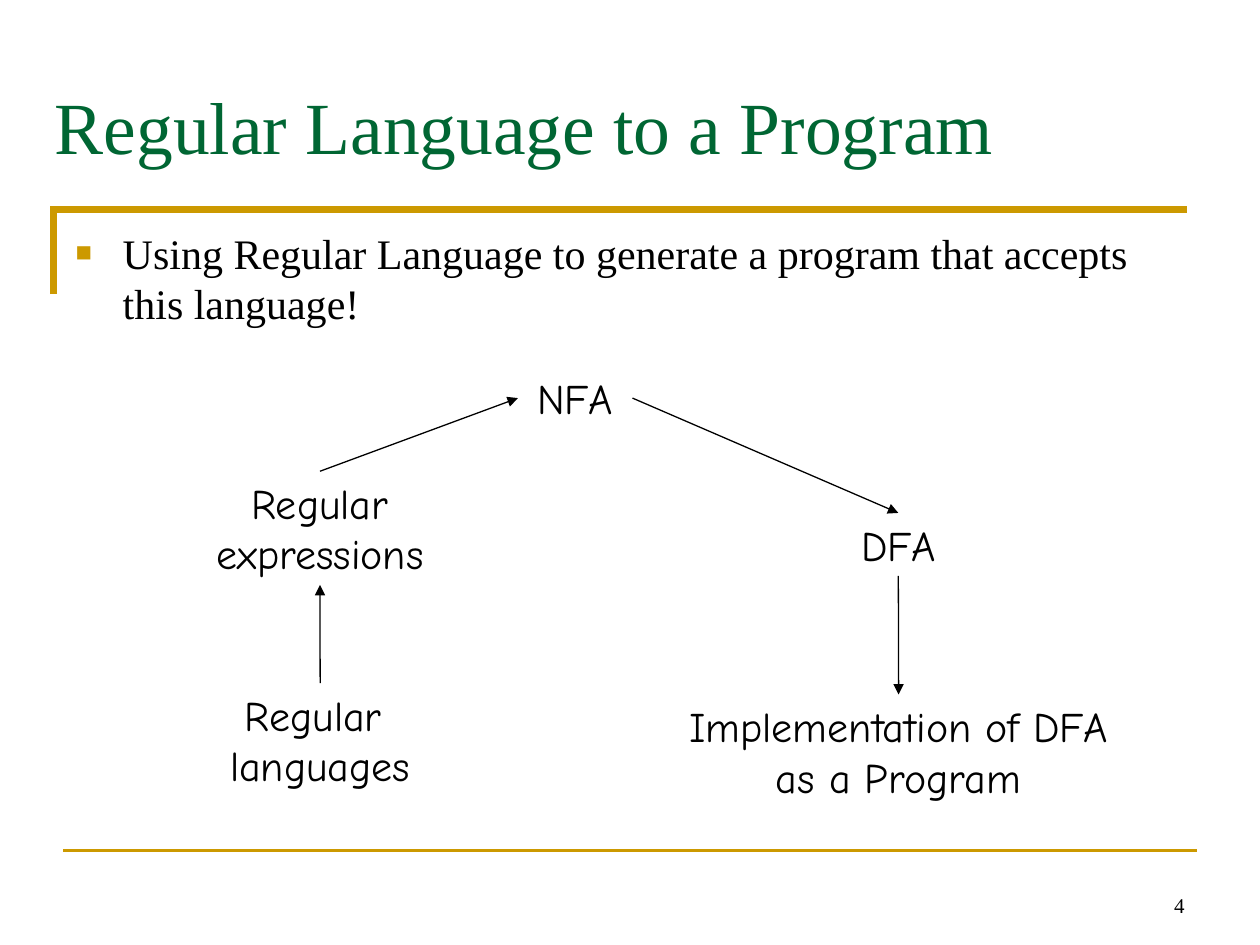
from dataclasses import dataclass

from lxml import etree
from pptx import Presentation
from pptx import util as u
from pptx.dml.color import RGBColor
from pptx.enum import shapes, text
from pptx.oxml.ns import qn

COLORS = {"title": "006633", "accent": "CC9900", "ink": "000000"}
SERIF, CASUAL = "Times New Roman", "Comic Neue"
TOP, LEFT, BOTTOM, RIGHT = range(4)


@dataclass
class Stage:
    name: str
    lines: tuple[str, ...]
    box: tuple[float, float, float, float]  # left, top, width, height in cm


@dataclass
class Step:
    start: str
    start_side: int
    end: str
    end_side: int


STAGES = [
    Stage("expressions", ("Regular", "expressions"), (3.87, 9.5, 5.16, 2.29)),
    Stage("nfa", ("NFA",), (10.44, 7.39, 2.31, 1.27)),
    Stage("dfa", ("DFA",), (16.98, 10.34, 2.26, 1.27)),
    Stage("languages", ("Regular ", "languages"), (4.32, 13.77, 4.27, 2.29)),
    Stage("program", ("Implementation of DFA", "as a Program"), (13.15, 14, 9.93, 2.31)),
]
STEPS = [
    Step("languages", TOP, "expressions", BOTTOM),
    Step("expressions", TOP, "nfa", LEFT),
    Step("nfa", RIGHT, "dfa", TOP),
    Step("dfa", BOTTOM, "program", TOP),
]


def color(name: str) -> RGBColor:
    return RGBColor.from_string(COLORS[name])


def add_run(paragraph, words: str, size: float, font: str, color_name: str = "ink") -> None:
    run = paragraph.add_run()
    run.text = words
    run.font.size = u.Pt(size)
    run.font.name = font
    run.font.color.rgb = color(color_name)


def place(shape, left: float, top: float, width: float, height: float) -> None:
    shape.left, shape.top = u.Cm(left), u.Cm(top)
    shape.width, shape.height = u.Cm(width), u.Cm(height)


def style_line(shape, color_name: str, width: float):
    shape.line.color.rgb = color(color_name)
    shape.line.width = u.Pt(width)
    return shape.line._get_or_add_ln()


def add_line(slide, color_name: str, width: float, start=(0, 0), end=(0, 0)):
    points = [u.Cm(value) for value in (*start, *end)]
    connector = slide.shapes.add_connector(shapes.MSO_CONNECTOR.STRAIGHT, *points)
    style_line(connector, color_name, width)
    etree.SubElement(connector._element.spPr, qn("a:effectLst"))
    return connector


def add_frame(slide) -> None:
    """Draw the corner rule under the title and the rule above the footer."""
    builder = slide.shapes.build_freeform(u.Cm(1.07), u.Cm(5.93))
    builder.add_line_segments(
        [(u.Cm(1.07), u.Cm(4.23)), (u.Cm(23.93), u.Cm(4.23))], close=False)
    corner = builder.convert_to_shape()
    corner.shadow.inherit = False
    corner.fill.background()
    etree.SubElement(style_line(corner, "accent", 4), qn("a:miter"), lim="800000")
    add_line(slide, "accent", 2, (1.27, 17.15), (24.13, 17.15))


def add_page_number(slide, number: str) -> None:
    box = slide.shapes.add_textbox(u.Cm(18.2), u.Cm(17.36), u.Cm(5.93), u.Cm(1.27))
    box.text_frame.word_wrap = True
    box.text_frame.vertical_anchor = text.MSO_ANCHOR.BOTTOM
    paragraph = box.text_frame.paragraphs[0]
    paragraph.alignment = text.PP_ALIGN.RIGHT
    add_run(paragraph, number, 12, SERIF)


def fill_title(title, words: str) -> None:
    place(title, 0.85, 1.5, 24.13, 3.18)
    title.text_frame.auto_size = text.MSO_AUTO_SIZE.NONE
    title.text_frame.vertical_anchor = text.MSO_ANCHOR.TOP
    paragraph = title.text_frame.paragraphs[0]
    paragraph.alignment = text.PP_ALIGN.LEFT
    add_run(paragraph, words, 42, SERIF, "title")


def fill_body(body, words: str) -> None:
    place(body, 1.27, 4.45, 22.86, 12.57)
    body.text_frame.auto_size = text.MSO_AUTO_SIZE.NONE
    paragraph = body.text_frame.paragraphs[0]
    paragraph.space_before = u.Pt(4.8)
    add_run(paragraph, words, 24, SERIF)
    properties = paragraph._p.get_or_add_pPr()
    properties.set("marL", str(u.Cm(0.95)))
    properties.set("indent", str(-u.Cm(0.95)))
    bullet_color = etree.SubElement(properties, qn("a:buClr"))
    etree.SubElement(bullet_color, qn("a:srgbClr"), val=COLORS["accent"])
    etree.SubElement(properties, qn("a:buSzPct"), val="65000")
    etree.SubElement(properties, qn("a:buFont"), typeface=SERIF)
    etree.SubElement(properties, qn("a:buChar"), char="■")


def add_stage(slide, stage: Stage):
    box = slide.shapes.add_textbox(*(u.Cm(value) for value in stage.box))
    frame = box.text_frame
    frame.word_wrap = False
    frame.auto_size = text.MSO_AUTO_SIZE.SHAPE_TO_FIT_TEXT
    for index, line in enumerate(stage.lines):
        paragraph = frame.add_paragraph() if index else frame.paragraphs[0]
        paragraph.alignment = text.PP_ALIGN.CENTER
        add_run(paragraph, line, 24, CASUAL)
    return box


def add_step(slide, step: Step, boxes: dict) -> None:
    arrow = add_line(slide, "ink", 0.75)
    arrow.begin_connect(boxes[step.start], step.start_side)
    arrow.end_connect(boxes[step.end], step.end_side)
    etree.SubElement(arrow.line._get_or_add_ln(), qn("a:tailEnd"), type="triangle")


def main() -> None:
    presentation = Presentation()
    presentation.slide_width, presentation.slide_height = u.Cm(25.4), u.Cm(19.05)
    slide = presentation.slides.add_slide(presentation.slide_layouts[1])
    add_frame(slide)
    add_page_number(slide, "4")
    fill_title(slide.shapes.title, "Regular Language to a Program")
    fill_body(slide.placeholders[1],
              "Using Regular Language to generate a program that accepts this language!")
    boxes = {stage.name: add_stage(slide, stage) for stage in STAGES}
    for step in STEPS:
        add_step(slide, step, boxes)
    presentation.save("out.pptx")


if __name__ == "__main__":
    main()
